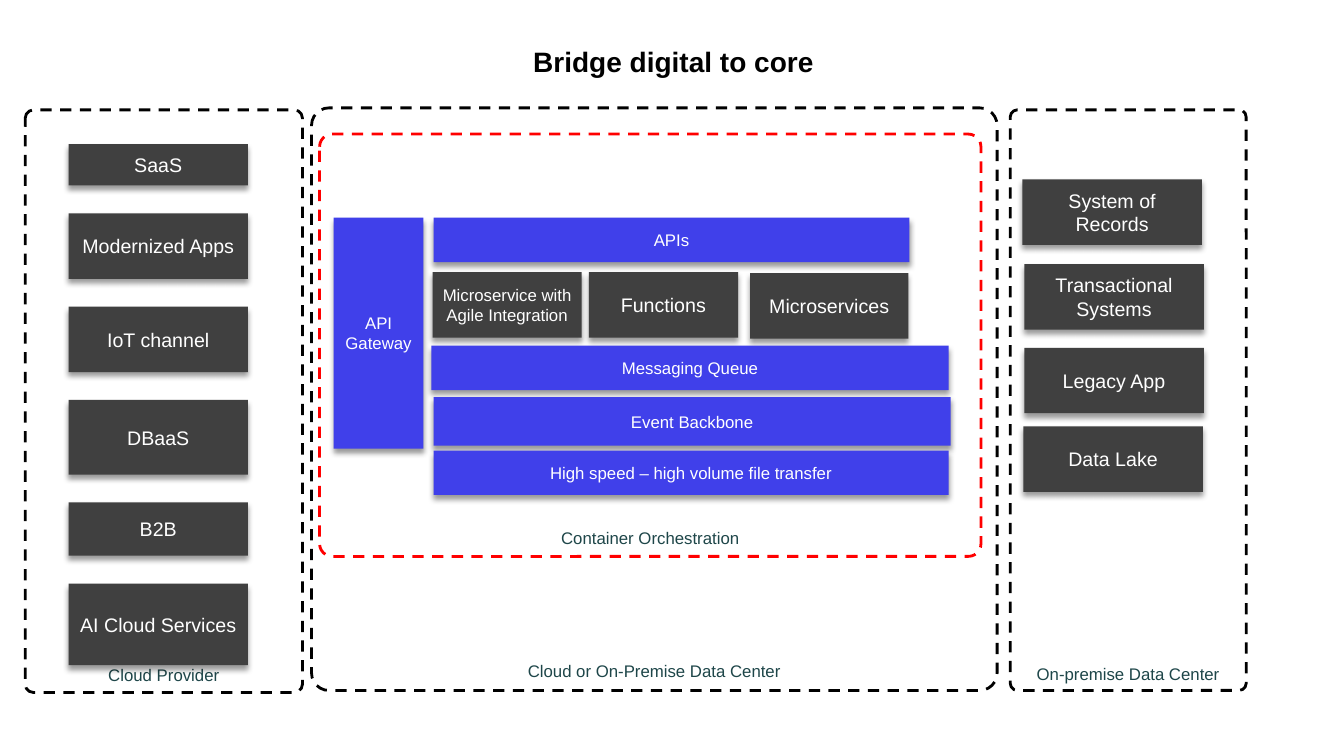
from dataclasses import dataclass

from lxml.etree import SubElement
from pptx import Presentation
from pptx.dml.color import RGBColor
from pptx.enum.dml import MSO_LINE
from pptx.enum.shapes import MSO_SHAPE
from pptx.enum.text import MSO_ANCHOR, PP_ALIGN
from pptx.oxml.ns import qn
from pptx.shapes.autoshape import Shape
from pptx.slide import Slide
from pptx.text.text import TextFrame
from pptx.util import Inches, Pt

COLORS = {
    "black": "000000",
    "white": "FFFFFF",
    "red": "FF0000",
    "gray": "404040",
    "blue": "4040EA",
    "label": "1E4649",
}


@dataclass(frozen=True)
class Box:
    text: str
    left: float
    top: float
    width: float
    height: float
    fill: str = "gray"
    size: int = 14


@dataclass(frozen=True)
class Zone:
    text: str
    left: float
    top: float
    width: float
    height: float
    line: str = "black"


CLOUD = [
    ("SaaS", 0.41),
    ("Modernized Apps", 0.65),
    ("IoT channel", 0.65),
    ("DBaaS", 0.74),
    ("B2B", 0.53),
    ("AI Cloud Services", 0.81),
]
CLOUD_TOP, CLOUD_END = 1.43, 6.6

ZONES = [
    Zone("Cloud Provider", 0.25, 1.09, 2.75, 5.78),
    Zone("Container Orchestration", 3.17, 1.33, 6.56, 4.19, "red"),
    Zone("On-premise Data Center", 10.02, 1.09, 2.34, 5.76),
    Zone("Cloud or On-Premise Data Center", 3.09, 1.07, 6.8, 5.78),
]

BOXES = [
    Box("API Gateway", 3.31, 2.16, 0.89, 2.29, "blue", 12),
    Box("APIs", 4.3, 2.16, 4.72, 0.44, "blue", 12),
    Box("Microservice with Agile Integration", 4.29, 2.7, 1.48, 0.65, size=12),
    Box("Functions", 5.84, 2.7, 1.48, 0.65),
    Box("Microservices", 7.44, 2.71, 1.57, 0.65),
    Box("Messaging Queue", 4.28, 3.43, 5.13, 0.44, "blue", 12),
    Box("Event Backbone", 4.3, 3.94, 5.13, 0.48, "blue", 12),
    Box("High speed – high volume file transfer", 4.3, 4.47, 5.11, 0.44, "blue", 12),
    Box("System of Records", 10.14, 1.78, 1.78, 0.65),
    Box("Transactional Systems", 10.16, 2.62, 1.78, 0.65),
    Box("Legacy App", 10.16, 3.45, 1.78, 0.65),
    Box("Data Lake", 10.15, 4.23, 1.78, 0.65),
]


def color(name: str) -> RGBColor:
    return RGBColor.from_string(COLORS[name])


def stack() -> list[Box]:
    """Spread the cloud boxes with equal gaps down the left column."""
    total = sum(height for _, height in CLOUD)
    gap = (CLOUD_END - CLOUD_TOP - total) / (len(CLOUD) - 1)
    boxes, top = [], CLOUD_TOP
    for text, height in CLOUD:
        boxes.append(Box(text, 0.68, top, 1.78, height))
        top += height + gap
    return boxes


def write(frame: TextFrame, text: str, size: int, tint: str,
          anchor: MSO_ANCHOR, bold: bool = False) -> None:
    frame.word_wrap = True
    frame.vertical_anchor = anchor
    para = frame.paragraphs[0]
    para.alignment = PP_ALIGN.CENTER
    run = para.add_run()
    run.text = text
    run.font.name = "Arial"
    run.font.size = Pt(size)
    run.font.bold = bold
    run.font.color.rgb = color(tint)


def place(slide: Slide, kind: MSO_SHAPE, item: Box | Zone) -> Shape:
    shape = slide.shapes.add_shape(
        kind, Inches(item.left), Inches(item.top),
        Inches(item.width), Inches(item.height))
    shape.shadow.inherit = False
    return shape


def shade(shape: Shape) -> None:
    """Give the shape a soft shadow that falls straight down."""
    effects = shape.element.spPr.find(qn("a:effectLst"))
    outer = SubElement(effects, qn("a:outerShdw"), blurRad=str(Pt(4)),
                       dist=str(Pt(3)), dir="5400000", rotWithShape="0")
    tint = SubElement(outer, qn("a:srgbClr"), val=COLORS["black"])
    SubElement(tint, qn("a:alpha"), val="40000")


def draw_box(slide: Slide, box: Box) -> None:
    shape = place(slide, MSO_SHAPE.RECTANGLE, box)
    shape.fill.solid()
    shape.fill.fore_color.rgb = color(box.fill)
    shape.line.fill.background()
    shade(shape)
    frame = shape.text_frame
    frame.margin_left = frame.margin_right = Inches(0.08)
    write(frame, box.text, box.size, "white", MSO_ANCHOR.MIDDLE)


def draw_zone(slide: Slide, zone: Zone) -> None:
    shape = place(slide, MSO_SHAPE.ROUNDED_RECTANGLE, zone)
    shape.adjustments[0] = 0.03
    shape.fill.background()
    shape.line.color.rgb = color(zone.line)
    shape.line.width = Pt(2)
    shape.line.dash_style = MSO_LINE.DASH
    write(shape.text_frame, zone.text, 12, "label", MSO_ANCHOR.BOTTOM)


def draw_title(slide: Slide) -> None:
    title = slide.shapes.title
    title.left, title.top = Inches(0.67), Inches(0.42)
    title.width, title.height = Inches(12.02), Inches(0.38)
    frame = title.text_frame
    frame.margin_left = frame.margin_right = 0
    frame.margin_top = frame.margin_bottom = 0
    write(frame, "Bridge digital to core", 20, "black", MSO_ANCHOR.MIDDLE, True)


def main() -> None:
    deck = Presentation()
    deck.slide_width, deck.slide_height = Inches(13.33), Inches(7.5)
    slide = deck.slides.add_slide(deck.slide_layouts[5])
    draw_title(slide)
    for zone in ZONES:
        draw_zone(slide, zone)
    for box in stack() + BOXES:
        draw_box(slide, box)
    deck.save("out.pptx")


if __name__ == "__main__":
    main()
